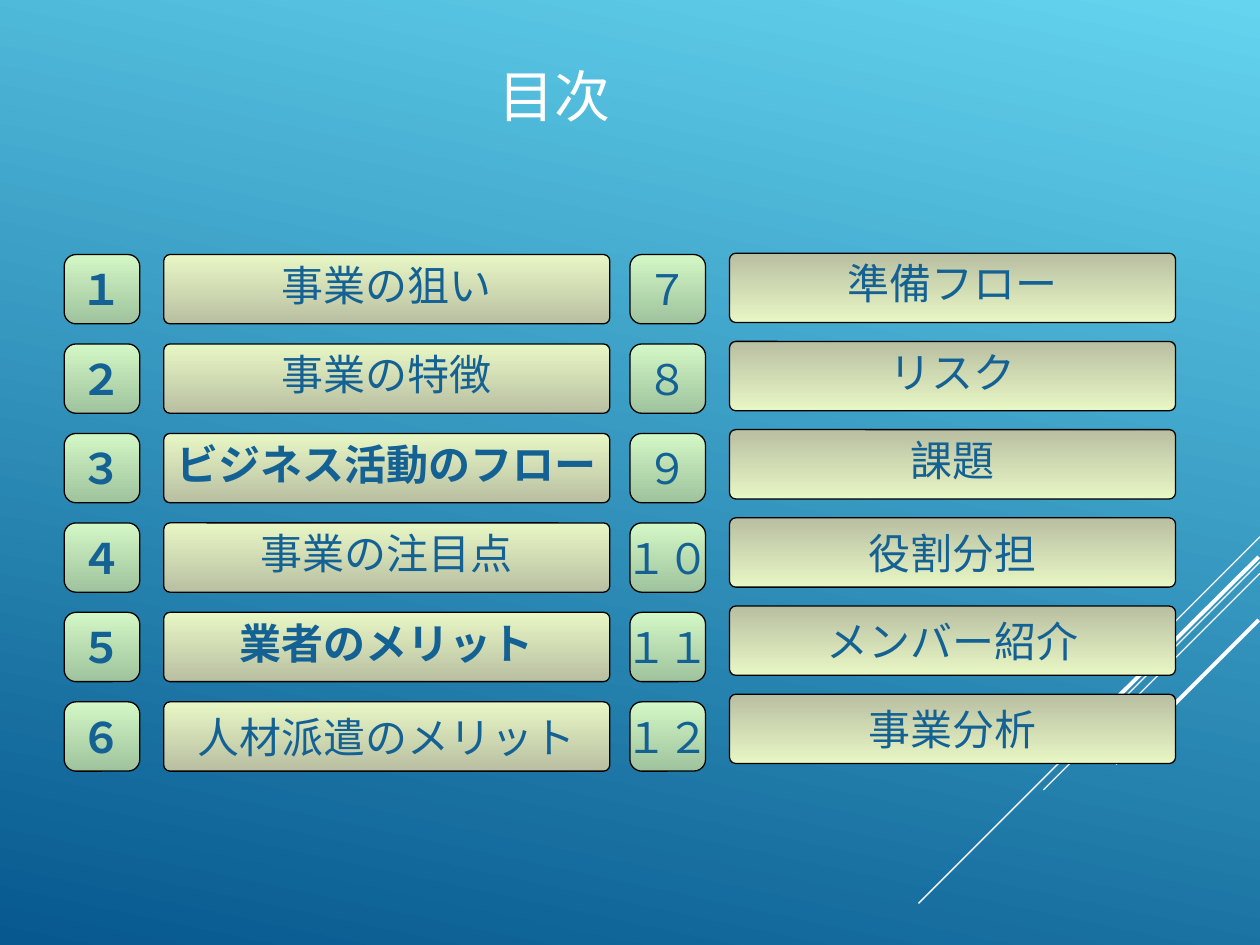
from lxml.etree import SubElement
from pptx import Presentation
from pptx.dml.color import RGBColor
from pptx.enum.shapes import MSO_CONNECTOR, MSO_SHAPE
from pptx.enum.text import MSO_ANCHOR, PP_ALIGN
from pptx.oxml.ns import qn
from pptx.util import Inches, Pt

WHITE = RGBColor(0xFF, 0xFF, 0xFF)
BLACK = RGBColor(0x00, 0x00, 0x00)
TEXT_BLUE = RGBColor(0x14, 0x61, 0x94)
SKY = RGBColor(0x64, 0xD4, 0xEF)
DEEP_BLUE = RGBColor(0x06, 0x58, 0x8E)
MINT = RGBColor(0xD3, 0xF7, 0xC5)
SAGE = RGBColor(0x9F, 0xC3, 0x9D)
CREAM = RGBColor(0xE8, 0xF7, 0xC5)
KHAKI = RGBColor(0xB9, 0xBF, 0xA1)

JAPANESE_FONT = "Noto Sans CJK JP"
TITLE_FONT = "TeX Gyre Adventor"
LABEL_FONT = {"name": JAPANESE_FONT, "size": Pt(24)}

HANGING = Inches(0.38)
SPACED = {"space_before": Pt(6)}
COMPACT = {"space_before": Pt(6), "line_spacing": 0.8}

TOP = 2.02
PITCH = 0.71
BOX_HEIGHT = 0.55
NUMBER_WIDTH = 0.6
TOPIC_WIDTH = 3.54

# Topic, bold, paragraph format, hanging indent
LEFT_TOPICS = [
    ("事業の狙い", False, COMPACT, True),
    ("事業の特徴", False, COMPACT, True),
    ("ビジネス活動のフロー", True, COMPACT, True),
    ("事業の注目点", False, COMPACT, True),
    ("業者のメリット", True, COMPACT, True),
    ("人材派遣のメリット", False, SPACED, False),
]
RIGHT_TOPICS = [
    ("準備フロー", False, COMPACT, True),
    ("リスク", False, COMPACT, True),
    ("課題", False, COMPACT, True),
    ("役割分担", False, {}, False),
    ("メンバー紹介", False, {}, True),
    ("事業分析", False, {}, False),
]
LEFT_NUMBERS = "１２３４５６"
RIGHT_NUMBERS = ["７", "８", "９", "１０", "１１", "１２"]

# Start x, start y, end x, end y, width in points
DIAGONALS = [
    (10, 4.26, 9.17, 5.09, 0.75),
    (10, 4.46, 7.29, 7.17, 0.75),
    (10, 4.55, 8.28, 6.27, 0.75),
    (9.99, 4.42, 8.41, 5.99, 2.25),
    (9.99, 4.92, 8.85, 6.06, 2.25),
]


def set_attributes(target, values):
    for name, value in values.items():
        setattr(target, name, value)


def set_gradient(fill, colors, clockwise_angle):
    fill.gradient()
    fill.gradient_angle = 360 - clockwise_angle
    for stop, color in zip(fill.gradient_stops, colors):
        stop.color.rgb = color


def add_diagonal(slide, start_x, start_y, end_x, end_y, width):
    line = slide.shapes.add_connector(
        MSO_CONNECTOR.STRAIGHT, Inches(start_x), Inches(start_y), Inches(end_x), Inches(end_y)
    )
    line.line.color.rgb = WHITE
    line.line.width = Pt(width)
    SubElement(line._element.spPr, qn("a:effectLst"))


def write_text(shape, text, font, color, wrap, paragraph_format=None):
    """Write one centred run and return its paragraph."""
    set_attributes(shape.text_frame, {"word_wrap": wrap, "vertical_anchor": MSO_ANCHOR.MIDDLE})
    paragraph = shape.text_frame.paragraphs[0]
    set_attributes(paragraph, {"alignment": PP_ALIGN.CENTER, **(paragraph_format or {})})
    run = paragraph.add_run()
    run.text = text
    set_attributes(run.font, font)
    run.font.color.rgb = color
    SubElement(run.font._element, qn("a:ea"), typeface=JAPANESE_FONT)
    return paragraph


def add_box(slide, left, top, width, corner, colors):
    box = slide.shapes.add_shape(
        MSO_SHAPE.ROUNDED_RECTANGLE, Inches(left), Inches(top), Inches(width), Inches(BOX_HEIGHT)
    )
    box.shadow.inherit = False
    box.adjustments[0] = corner
    set_gradient(box.fill, colors, 90)
    box.line.color.rgb = BLACK
    box.line.width = Pt(0.75)
    return box


def add_numbers(slide, left, numbers, bold):
    for row, number in enumerate(numbers):
        box = add_box(slide, left, TOP + row * PITCH, NUMBER_WIDTH, 0.17, (MINT, SAGE))
        write_text(box, number, {**LABEL_FONT, "bold": bold}, TEXT_BLUE, False)


def add_topics(slide, left, top, pitch, colors, topics):
    for row, (topic, bold, paragraph_format, hanging) in enumerate(topics):
        box = add_box(slide, left, top + row * pitch, TOPIC_WIDTH, 0.09, colors)
        font = {**LABEL_FONT, "bold": bold}
        paragraph = write_text(box, topic, font, TEXT_BLUE, False, paragraph_format)
        if hanging:
            properties = paragraph._p.get_or_add_pPr()
            properties.set("marL", str(HANGING))
            properties.set("indent", str(-HANGING))


def add_title(slide, text):
    title = slide.shapes.add_textbox(Inches(0.27), Inches(0.36), Inches(8.27), Inches(0.79))
    write_text(title, text, {"name": TITLE_FONT, "size": Pt(32)}, WHITE, True)


def main():
    presentation = Presentation()
    set_attributes(presentation, {"slide_width": Inches(10), "slide_height": Inches(7.5)})
    slide = presentation.slides.add_slide(presentation.slide_layouts[6])
    set_gradient(slide.background.fill, (SKY, DEEP_BLUE), 102)
    for diagonal in DIAGONALS:
        add_diagonal(slide, *diagonal)
    add_numbers(slide, 0.51, LEFT_NUMBERS, True)
    add_topics(slide, 1.3, TOP, PITCH, (CREAM, KHAKI), LEFT_TOPICS)
    add_numbers(slide, 5, RIGHT_NUMBERS, False)
    add_topics(slide, 5.79, 2.01, 0.7, (KHAKI, CREAM), RIGHT_TOPICS)
    add_title(slide, "目次")
    presentation.save("out.pptx")


if __name__ == "__main__":
    main()
